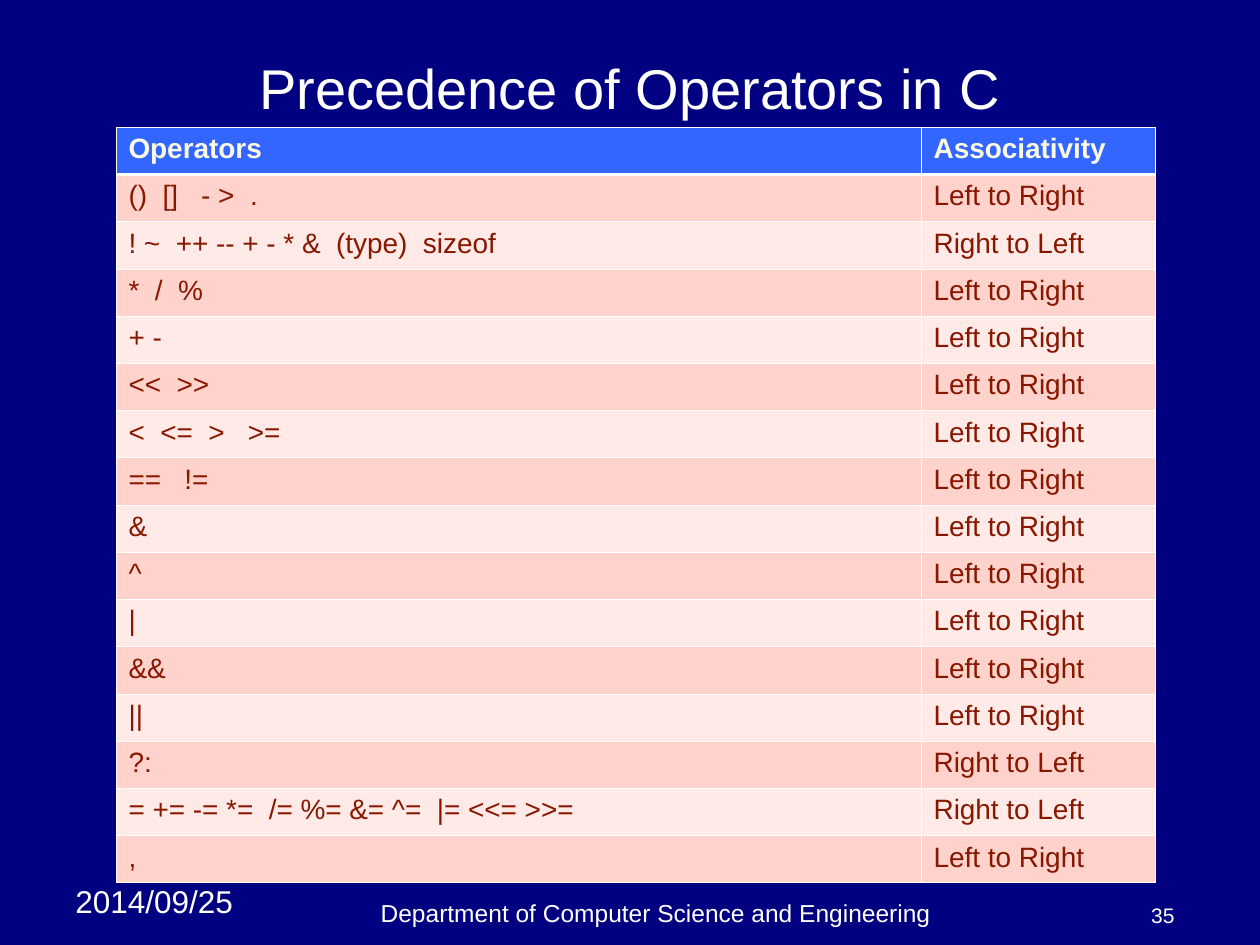
from dataclasses import dataclass

from lxml.etree import SubElement
from pptx import Presentation
from pptx.dml.color import RGBColor
from pptx.enum.text import MSO_ANCHOR, PP_ALIGN
from pptx.oxml.ns import qn
from pptx.slide import Slide
from pptx.table import _Cell
from pptx.text.text import TextFrame
from pptx.util import Inches, Pt

SLIDE_WIDTH, SLIDE_HEIGHT = 10, 7.5


@dataclass(frozen=True)
class Theme:
    font: str = "Arial"
    background: str = "000080"
    light_text: str = "FFFFFF"
    header_fill: str = "3366FF"
    header_text: str = "FAF9E6"
    body_text: str = "881700"
    bands: tuple[str, str] = ("FFD3CB", "FFEAE7")
    border: str = "FFFFFF"
    thin_border: float = 0.45
    thick_border: float = 1.47
    title_size: int = 32
    date_size: int = 18
    table_size: int = 16
    footer_size: int = 14
    number_size: int = 12


@dataclass(frozen=True)
class Label:
    text: str
    left: float
    top: float
    width: float
    height: float
    size: int
    alignment: PP_ALIGN
    anchor: MSO_ANCHOR


@dataclass(frozen=True)
class Precedence:
    operators: str
    associativity: str = "Left to Right"


THEME = Theme()
RIGHT_TO_LEFT = "Right to Left"

LABELS = (
    Label("2014/09/25", 0.5, 6.95, 1.58, 0.4, THEME.date_size, PP_ALIGN.LEFT, MSO_ANCHOR.TOP),
    Label("Department of Computer Science and Engineering", 1.83, 7.08, 6.75, 0.33,
          THEME.footer_size, PP_ALIGN.CENTER, MSO_ANCHOR.BOTTOM),
    Label("35", 8.75, 7.08, 0.67, 0.33, THEME.number_size, PP_ALIGN.RIGHT, MSO_ANCHOR.BOTTOM),
    Label("Precedence of Operators in C", 0.5, 0.39, 9, 0.61,
          THEME.title_size, PP_ALIGN.CENTER, MSO_ANCHOR.MIDDLE),
)

HEADER = Precedence("Operators", "Associativity")
LEVELS = (
    Precedence("()  []   - >  ."),
    Precedence("! ~  ++ -- + - * &  (type)  sizeof", RIGHT_TO_LEFT),
    Precedence("*  /  %"),
    Precedence("+ -"),
    Precedence("<<  >>"),
    Precedence("<  <=  >   >="),
    Precedence("==   !="),
    Precedence("&"),
    Precedence("^"),
    Precedence("|"),
    Precedence("&&"),
    Precedence("||"),
    Precedence("?:", RIGHT_TO_LEFT),
    Precedence("= += -= *=  /= %= &= ^=  |= <<= >>=", RIGHT_TO_LEFT),
    Precedence(","),
)
TABLE_LEFT, TABLE_TOP, TABLE_HEIGHT = 0.92, 1.01, 6
COLUMN_WIDTHS = (6.39, 1.86)


def write_text(text_frame: TextFrame, text: str, size: int, color: str,
               alignment: PP_ALIGN = PP_ALIGN.LEFT, bold: bool = False) -> None:
    text_frame.text = text
    paragraph = text_frame.paragraphs[0]
    paragraph.alignment = alignment
    font = paragraph.runs[0].font
    font.name, font.size, font.bold = THEME.font, Pt(size), bold
    font.color.rgb = RGBColor.from_string(color)


def add_label(slide: Slide, label: Label) -> None:
    shape = slide.shapes.add_textbox(Inches(label.left), Inches(label.top),
                                     Inches(label.width), Inches(label.height))
    text_frame = shape.text_frame
    text_frame.word_wrap = True
    text_frame.vertical_anchor = label.anchor
    write_text(text_frame, label.text, label.size, THEME.light_text, label.alignment)


def add_borders(cell: _Cell, top: float, bottom: float) -> None:
    """Draw all four cell borders; this must come before the fill is set."""
    properties = cell._tc.get_or_add_tcPr()
    thin = THEME.thin_border
    for side, width in (("L", thin), ("R", thin), ("T", top), ("B", bottom)):
        line = SubElement(properties, qn(f"a:ln{side}"), w=str(Pt(width)))
        fill = SubElement(line, qn("a:solidFill"))
        SubElement(fill, qn("a:srgbClr"), val=THEME.border)


def style_cell(cell: _Cell, text: str, row: int) -> None:
    is_header = row == 0
    add_borders(cell,
                top=THEME.thick_border if row == 1 else THEME.thin_border,
                bottom=THEME.thick_border if is_header else THEME.thin_border)
    cell.fill.solid()
    fill_color = THEME.header_fill if is_header else THEME.bands[(row - 1) % 2]
    cell.fill.fore_color.rgb = RGBColor.from_string(fill_color)
    text_color = THEME.header_text if is_header else THEME.body_text
    write_text(cell.text_frame, text, THEME.table_size, text_color, bold=is_header)


def add_precedence_table(slide: Slide) -> None:
    rows = (HEADER, *LEVELS)
    table = slide.shapes.add_table(
        len(rows), len(COLUMN_WIDTHS), Inches(TABLE_LEFT), Inches(TABLE_TOP),
        Inches(sum(COLUMN_WIDTHS)), Inches(TABLE_HEIGHT)).table
    for column, width in zip(table.columns, COLUMN_WIDTHS):
        column.width = Inches(width)
    for row, level in enumerate(rows):
        table.rows[row].height = Inches(TABLE_HEIGHT / len(rows))
        for column, text in enumerate((level.operators, level.associativity)):
            style_cell(table.cell(row, column), text, row)


def main() -> None:
    presentation = Presentation()
    presentation.slide_width = Inches(SLIDE_WIDTH)
    presentation.slide_height = Inches(SLIDE_HEIGHT)
    slide = presentation.slides.add_slide(presentation.slide_layouts[6])
    slide.background.fill.solid()
    slide.background.fill.fore_color.rgb = RGBColor.from_string(THEME.background)
    for label in LABELS:
        add_label(slide, label)
    add_precedence_table(slide)
    presentation.save("out.pptx")


if __name__ == "__main__":
    main()
